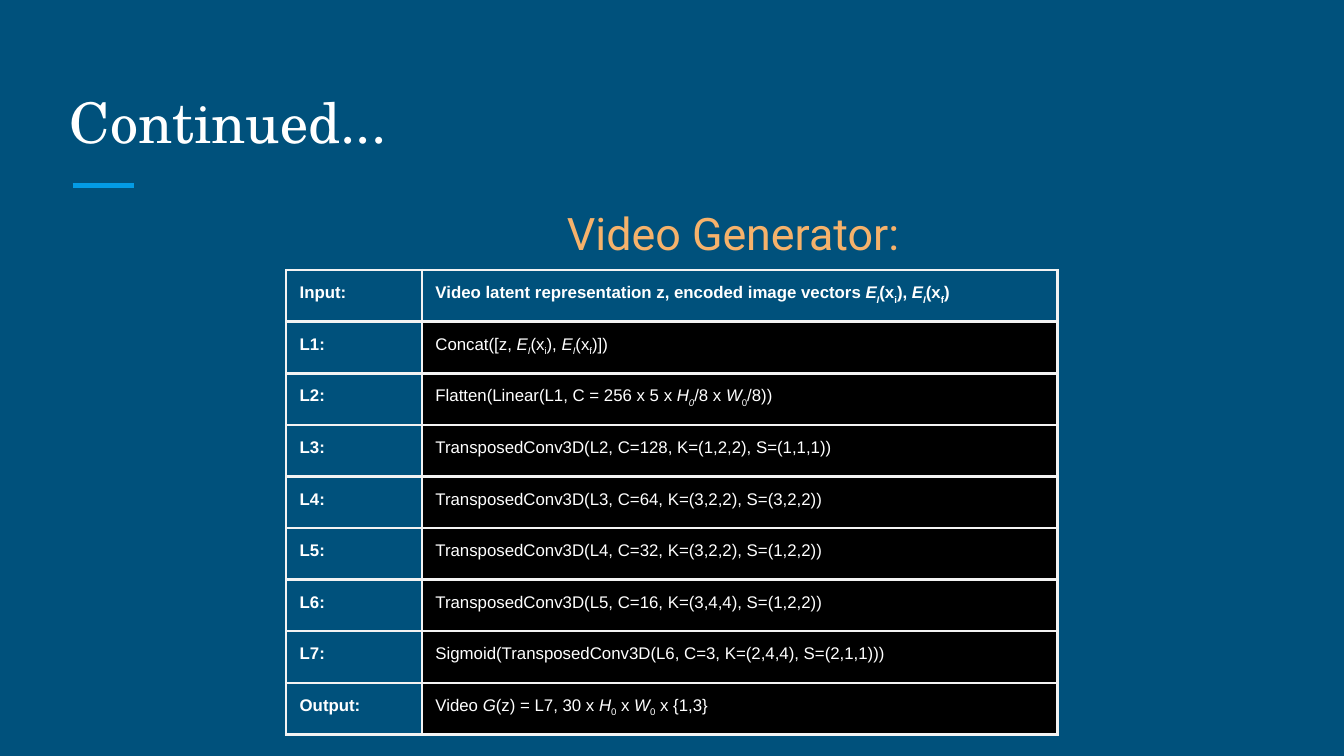
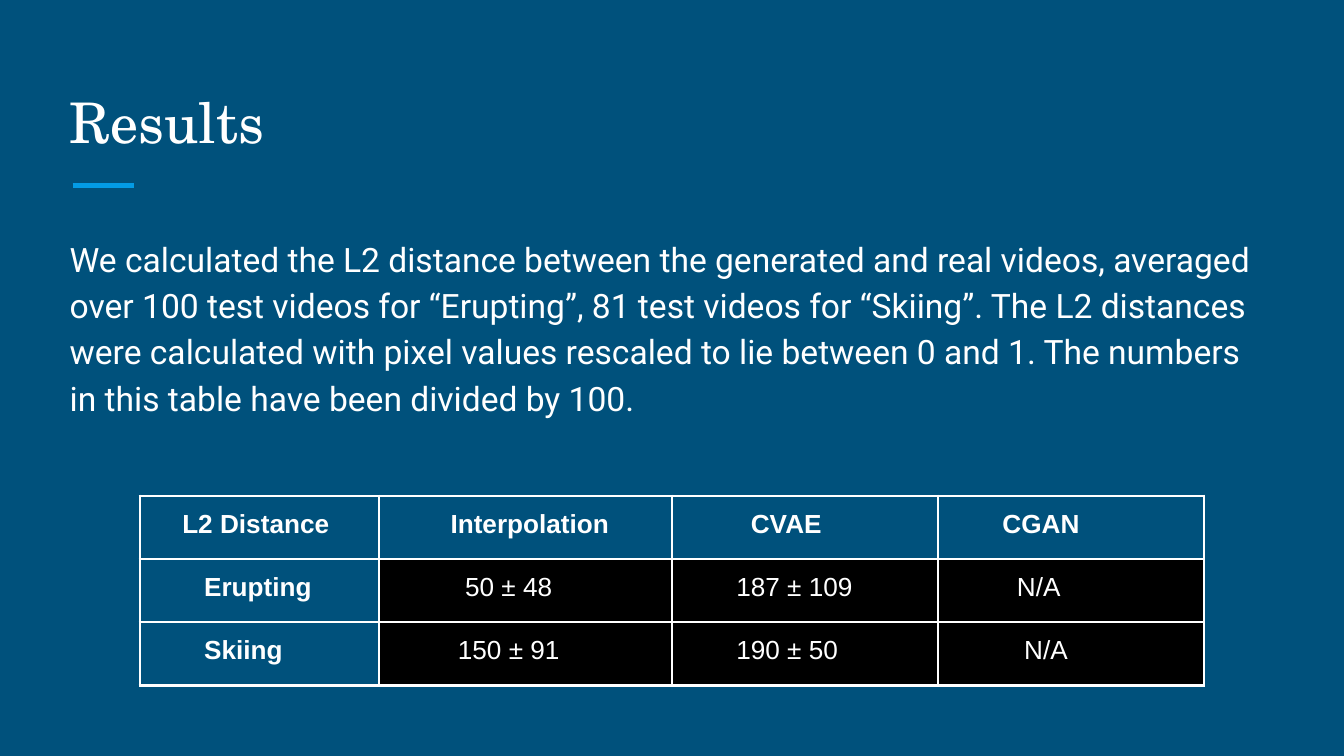
from dataclasses import dataclass

from pptx import Presentation
from pptx.dml.color import RGBColor
from pptx.enum.shapes import MSO_CONNECTOR
from pptx.enum.text import MSO_ANCHOR
from pptx.oxml.ns import qn
from pptx.util import Inches, Pt
from lxml.etree import SubElement


@dataclass(frozen=True)
class Theme:
    background: str = "00517C"
    accent: str = "039BE5"
    heading: str = "F6B26B"
    text: str = "FFFFFF"
    layer_border: str = "F3F3F3"
    value_fill: str = "000000"
    title_font: str = "TeX Gyre Schola"
    body_font: str = "Roboto"
    table_font: str = "Arial"
    title_size: float = 30
    heading_size: float = 24
    body_size: float = 18
    results_size: float = 14
    layers_size: float = 9
    border_width: float = 1.5
    accent_width: float = 3


THEME = Theme()

# The slide is a grid of 100 columns by 56.25 rows of square cells
COLUMNS, ROWS = 100, 56.25
CELL = Inches(0.1)
MARGIN, CONTENT_WIDTH = 4.2, 91.5
TITLE_BOTTOM, ACCENT_ROW = 12.5, 13.8
SPACE_SHARE = 0.278  # width of an Arial space as a share of the type size

# Runs are (text, style): "i" is italic, "s" is subscript
ENCODED_IMAGES = [
    ("E", "i"), ("I", "is"), ("(x", ""), ("i", "s"), ("), ", ""),
    ("E", "i"), ("I", "is"), ("(x", ""), ("f", "s"),
]
HEIGHT, WIDTH = ("H", "i"), ("W", "i")
ZERO = ("0", "s")

LAYERS = [
    ("Input:", [("Video latent representation z, encoded image vectors ", ""),
                *ENCODED_IMAGES, (")", "")]),
    ("L1:", [("Concat([z, ", ""), *ENCODED_IMAGES, (")])", "")]),
    ("L2:", [("Flatten(Linear(L1, C = 256 x 5 x ", ""), HEIGHT, ("0", "is"),
             ("/8 x ", ""), WIDTH, ZERO, ("/8))", "")]),
    ("L3:", "TransposedConv3D(L2, C=128, K=(1,2,2), S=(1,1,1))"),
    ("L4:", "TransposedConv3D(L3, C=64, K=(3,2,2), S=(3,2,2))"),
    ("L5:", "TransposedConv3D(L4, C=32, K=(3,2,2), S=(1,2,2))"),
    ("L6:", "TransposedConv3D(L5, C=16, K=(3,4,4), S=(1,2,2))"),
    ("L7:", "Sigmoid(TransposedConv3D(L6, C=3, K=(2,4,4), S=(2,1,1)))"),
    ("Output:", [("Video ", ""), ("G", "i"), ("(z) = L7, 30 x ", ""), HEIGHT, ZERO,
                 (" x ", ""), WIDTH, ZERO, (" x {1,3}", "")]),
]

RESULTS = [
    ("L2 Distance", "Interpolation", "CVAE", "CGAN"),
    ("Erupting", "50 ± 48", "187 ± 109", "N/A"),
    ("Skiing", "150 ± 91", "190 ± 50", "N/A"),
]
# Indent of each result, in space widths
RESULT_INDENTS = [(4, 8, 9, 7), (7, 10, 7, 9), (7, 9, 7, 10)]

RESULTS_TEXT = (
    "We calculated the L2 distance between the generated and real videos, averaged "
    "over 100 test videos for “Erupting”, 81 test videos for “Skiing”. The L2 distances "
    "were calculated with pixel values rescaled to lie between 0 and 1. The numbers "
    "in this table have been divided by 100."
)


def grid(cells):
    return int(cells * CELL)


def color(value):
    return RGBColor.from_string(value)


def indent(paragraph, length):
    properties = paragraph._p.get_or_add_pPr()
    properties.set("marL", str(int(length)))
    properties.set("indent", "0")


def write(paragraph, content, font_name, size, font_color=THEME.text, bold=False):
    """Fill a paragraph from a string or a list of (text, style) runs."""
    if isinstance(content, str):
        content = [(content, "")]
    for text, style in content:
        run = paragraph.add_run()
        run.text = text
        run.font.name = font_name
        run.font.size = Pt(size)
        run.font.color.rgb = color(font_color)
        run.font.bold = bold
        run.font.italic = "i" in style
        if "s" in style:
            run._r.get_or_add_rPr().set("baseline", "-25000")


def set_insets(target):
    target.margin_left = target.margin_right = CELL
    target.margin_top = target.margin_bottom = CELL


def add_text(slide, left, top, width, height, text, font_name, size,
             font_color=THEME.text, anchor=MSO_ANCHOR.TOP):
    box = slide.shapes.add_textbox(grid(left), grid(top), grid(width), grid(height))
    frame = box.text_frame
    frame.word_wrap = True
    frame.vertical_anchor = anchor
    set_insets(frame)
    paragraph = frame.paragraphs[0]
    write(paragraph, text, font_name, size, font_color)
    return paragraph


def add_titled_slide(presentation, title, title_top):
    slide = presentation.slides.add_slide(presentation.slide_layouts[6])
    # Accent rule below the title
    rule = slide.shapes.add_connector(
        MSO_CONNECTOR.STRAIGHT, grid(5.4), grid(ACCENT_ROW), grid(10), grid(ACCENT_ROW))
    rule.line.color.rgb = color(THEME.accent)
    rule.line.width = Pt(THEME.accent_width)
    SubElement(rule._element.spPr, qn("a:effectLst"))
    add_text(slide, MARGIN, title_top, CONTENT_WIDTH, TITLE_BOTTOM - title_top, title,
             THEME.title_font, THEME.title_size, anchor=MSO_ANCHOR.BOTTOM)
    return slide


def set_borders(cell, border_color):
    properties = cell._tc.get_or_add_tcPr()
    for side in ("L", "R", "T", "B"):
        line = SubElement(properties, qn(f"a:ln{side}"), w=str(Pt(THEME.border_width)))
        fill = SubElement(line, qn("a:solidFill"))
        SubElement(fill, qn("a:srgbClr"), val=border_color)


def add_grid_table(slide, left, top, column_widths, row_height, rows, size,
                   border_color, indents=None):
    """Table with bold clear headers and black value cells."""
    table = slide.shapes.add_table(
        len(rows), len(column_widths), grid(left), grid(top),
        grid(sum(column_widths)), grid(row_height * len(rows))).table
    table.first_row = table.horz_banding = False
    for column, width in zip(table.columns, column_widths):
        column.width = grid(width)
    for row_index, contents in enumerate(rows):
        table.rows[row_index].height = grid(row_height)
        for column_index, content in enumerate(contents):
            cell = table.cell(row_index, column_index)
            is_header = row_index == 0 or column_index == 0
            set_insets(cell)
            set_borders(cell, border_color)
            if is_header:
                cell.fill.background()
            else:
                cell.fill.solid()
                cell.fill.fore_color.rgb = color(THEME.value_fill)
            paragraph = cell.text_frame.paragraphs[0]
            write(paragraph, content, THEME.table_font, size, bold=is_header)
            if indents:
                spaces = indents[row_index][column_index]
                indent(paragraph, spaces * SPACE_SHARE * Pt(size))


def add_generator_slide(presentation):
    slide = add_titled_slide(presentation, "Continued...", 5)
    add_grid_table(slide, 21.3, 20.1, (10.1, 47.3), 3.84, LAYERS,
                   THEME.layers_size, THEME.layer_border)
    heading = add_text(slide, 21.2, 14.3, 49.8, 4, "Video Generator:",
                       THEME.body_font, THEME.heading_size, THEME.heading)
    indent(heading, grid(20))


def add_results_slide(presentation):
    slide = add_titled_slide(presentation, "Results", 1.8)
    body = add_text(slide, MARGIN, 16.3, CONTENT_WIDTH, 17, RESULTS_TEXT,
                    THEME.body_font, THEME.body_size)
    body.line_spacing = 1.15
    body.space_after = Pt(16)
    add_grid_table(slide, 10.4, 36.9, (17.8, 21.8, 19.8, 19.8), 4.7, RESULTS,
                   THEME.results_size, THEME.text, RESULT_INDENTS)


def main():
    presentation = Presentation()
    presentation.slide_width = grid(COLUMNS)
    presentation.slide_height = grid(ROWS)
    # Shared background
    background = presentation.slide_master.background.fill
    background.solid()
    background.fore_color.rgb = color(THEME.background)
    add_generator_slide(presentation)
    add_results_slide(presentation)
    presentation.save("out.pptx")


if __name__ == "__main__":
    main()
